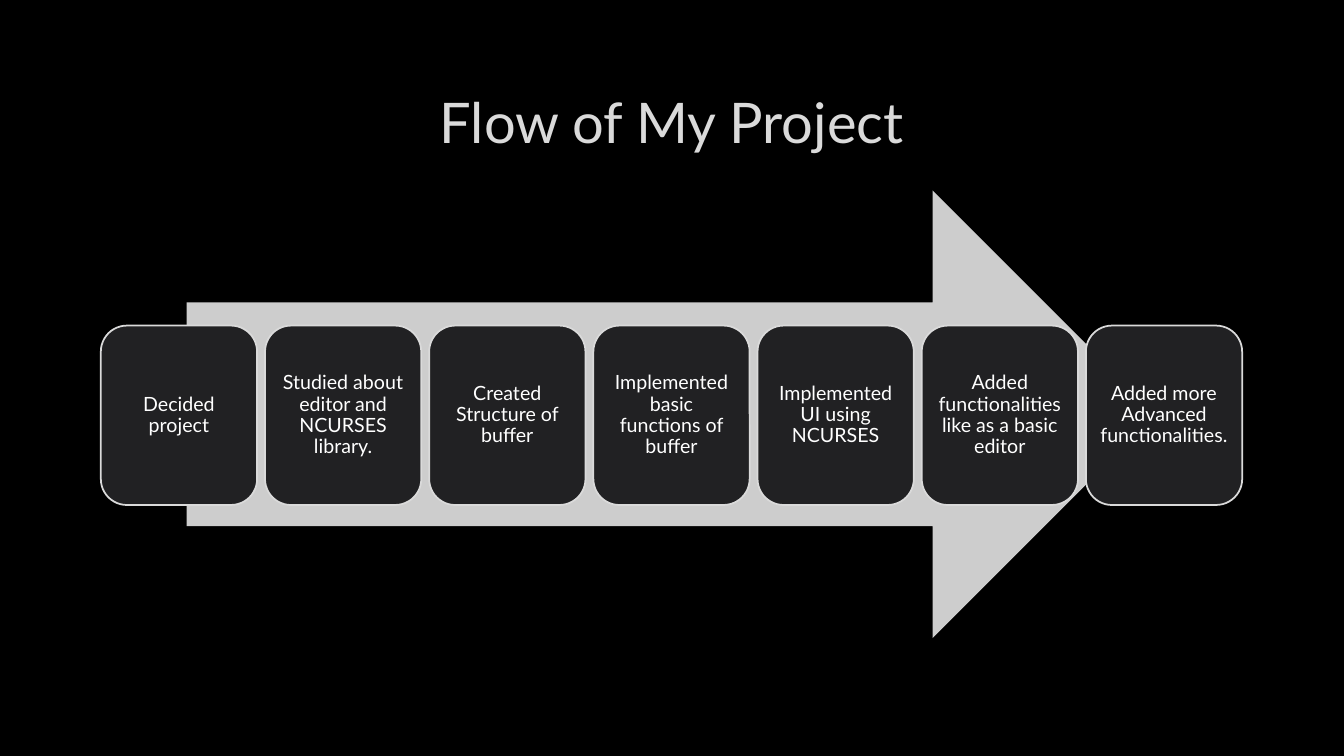
import pptx
import pptx.util
import pptx.dml.color
import pptx.enum.shapes
import pptx.enum.text

Inches = pptx.util.Inches
Pt = pptx.util.Pt
MSO_SHAPE = pptx.enum.shapes.MSO_SHAPE

COLORS = {
    "background": "000000",
    "title": "DADADA",
    "arrow": "CDCDCD",
    "step": "212123",
    "border": "DADADA",
    "text": "FFFFFF",
}


def rgb(name):
    return pptx.dml.color.RGBColor.from_string(COLORS[name])


class Deck:
    font = "Lato"

    def __init__(self, prs):
        self.s = prs.slides.add_slide(prs.slide_layouts[6])
        fill = self.s.background.fill
        fill.solid()
        fill.fore_color.rgb = rgb("background")

    def label(self, sp, text, size, color, inset, spacing=1.0):
        tf = sp.text_frame
        tf.text = text
        tf.word_wrap = True
        tf.vertical_anchor = pptx.enum.text.MSO_ANCHOR.MIDDLE
        tf.margin_left = tf.margin_right = Inches(inset)
        tf.margin_top = tf.margin_bottom = Inches(inset)
        p = tf.paragraphs[0]
        p.alignment = pptx.enum.text.PP_ALIGN.CENTER
        p.line_spacing = spacing
        r = p.runs[0]
        r.font.name = self.font
        r.font.size = Pt(size)
        r.font.color.rgb = rgb(color)

    def title(self, text, x, y, w, h):
        sp = self.s.shapes.add_textbox(Inches(x), Inches(y), Inches(w), Inches(h))
        self.label(sp, text, 40, "title", 0.05)

    def shape(self, kind, x, y, w, h, fill, border=None):
        sp = self.s.shapes.add_shape(kind, Inches(x), Inches(y), Inches(w), Inches(h))
        sp.shadow.inherit = False
        sp.fill.solid()
        sp.fill.fore_color.rgb = rgb(fill)
        if border:
            sp.line.color.rgb = rgb(border)
            sp.line.width = Pt(1.25)
        else:
            sp.line.fill.background()
        return sp

    def arrow(self, x, y, w, h):
        self.shape(MSO_SHAPE.RIGHT_ARROW, x, y, w, h, "arrow")

    def step(self, text, x, y, w, h):
        sp = self.shape(MSO_SHAPE.ROUNDED_RECTANGLE, x, y, w, h, "step", "border")
        self.label(sp, text, 14, "text", 0.06, 0.9)


STEPS = [
    "Decided project",
    "Studied about editor and NCURSES library.",
    "Created Structure of buffer",
    "Implemented basic functions of buffer",
    "Implemented UI using NCURSES",
    "Added functionalities like as a basic editor",
    "Added more Advanced functionalities.",
]
LEFT, WIDTH = 1, 11.32
STEP_W, STEP_H = 1.55, 1.78

prs = pptx.Presentation()
prs.slide_width = Inches(13.33)
prs.slide_height = Inches(7.5)

deck = Deck(prs)
deck.title("Flow of My Project", LEFT, 0.67, WIDTH, 1.06)
deck.arrow(1.85, 1.89, 9.62, 4.44)
pitch = (WIDTH - STEP_W) / (len(STEPS) - 1)
for i, text in enumerate(STEPS):
    deck.step(text, LEFT + i * pitch, 3.23, STEP_W, STEP_H)

prs.save("out.pptx")
